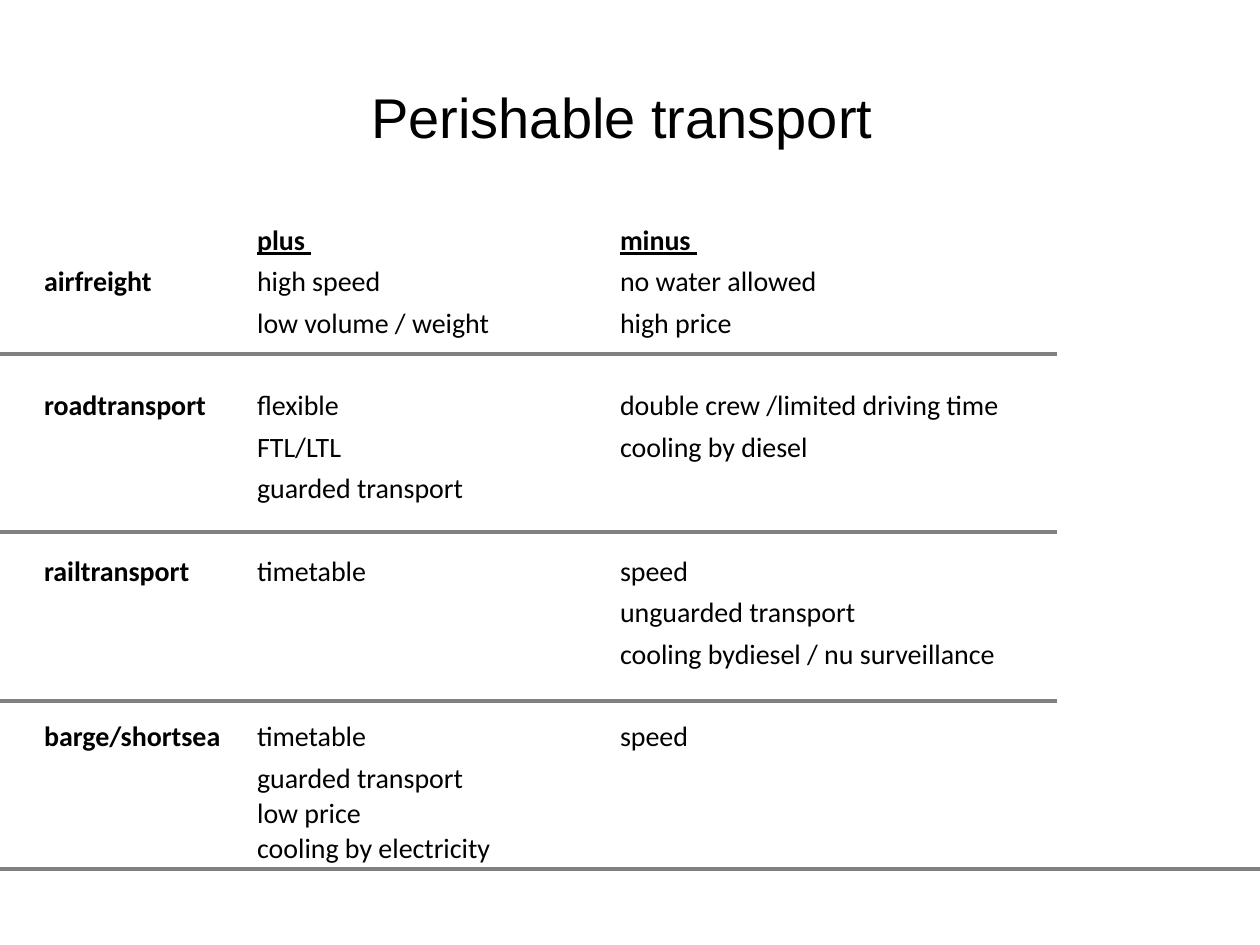
from lxml import etree
from pptx import Presentation
from pptx.dml.color import RGBColor
from pptx.enum import shapes, text
from pptx.oxml.ns import qn
from pptx.util import Pt

BLACK = RGBColor(0x00, 0x00, 0x00)
GRAY = RGBColor(0x80, 0x80, 0x80)

SLIDE_W, SLIDE_H = 720, 540
COLUMN_WIDTHS = (121.7, 207.4, 272.9)
ROW_H, LAST_ROW_H = 23.65, 39
TEXT_SIZE = 16

ROWS = [
    ("", "plus ", "minus "),
    ("airfreight", "high speed", "no water allowed"),
    ("", "low volume / weight", "high price"),
    ("", "", ""),
    ("roadtransport", "flexible", "double crew /limited driving time"),
    ("", "FTL/LTL", "cooling by diesel"),
    ("", "guarded transport", ""),
    ("", "", ""),
    ("railtransport", "timetable", "speed"),
    ("", "", "unguarded transport"),
    ("", "", "cooling bydiesel / nu surveillance"),
    ("", "", ""),
    ("barge/shortsea", "timetable", "speed"),
    ("", "guarded transport", ""),
    ("", "low price\ncooling by electricity", ""),
]

# (right end, height on the slide) of each rule
RULES = [(604, 202.1), (604, 304), (604, 400.5), (SLIDE_W, 496.6)]


def add_title(slide, left, top, width, height):
    title = slide.shapes.title
    title.left, title.top = Pt(left), Pt(top)
    title.width, title.height = Pt(width), Pt(height)
    tf = title.text_frame
    tf.text = "Perishable transport "
    tf.vertical_anchor = text.MSO_ANCHOR.MIDDLE
    p = tf.paragraphs[0]
    p.alignment = text.PP_ALIGN.CENTER
    font = p.runs[0].font
    font.name, font.size = "Arial", Pt(32)
    font.color.rgb = BLACK


def fill_cell(cell, words, bold, underline):
    cell.fill.background()
    cell.vertical_anchor = text.MSO_ANCHOR.BOTTOM
    cell.margin_left = cell.margin_right = cell.margin_top = Pt(0.75)
    cell.margin_bottom = Pt(0)
    cell.text_frame.text = words
    for p in cell.text_frame.paragraphs:
        for r in p.runs:
            font = r.font
            font.name, font.size = "Calibri", Pt(TEXT_SIZE)
            font.bold, font.underline = bold, underline
            font.color.rgb = BLACK
        if not p.runs:  # an empty cell must not stretch its row
            end = etree.SubElement(p._p, qn("a:endParaRPr"))
            end.set("sz", str(TEXT_SIZE * 100))


def add_comparison(slide, left, top):
    heights = [ROW_H] * (len(ROWS) - 1) + [LAST_ROW_H]
    table = slide.shapes.add_table(
        len(ROWS), len(COLUMN_WIDTHS), Pt(left), Pt(top),
        Pt(sum(COLUMN_WIDTHS)), Pt(sum(heights))).table
    table.first_row = table.horz_banding = False
    for column, width in zip(table.columns, COLUMN_WIDTHS):
        column.width = Pt(width)
    for i, (words, height) in enumerate(zip(ROWS, heights)):
        table.rows[i].height = Pt(height)
        for j, entry in enumerate(words):
            fill_cell(table.cell(i, j), entry,
                      bold=i == 0 or j == 0, underline=i == 0)


def add_rules(slide, left):
    for right, y in RULES:
        rule = slide.shapes.add_connector(
            shapes.MSO_CONNECTOR.STRAIGHT, Pt(left), Pt(y), Pt(right), Pt(y))
        rule.line.color.rgb = GRAY
        rule.line.width = Pt(2.25)
        etree.SubElement(rule._element.spPr, qn("a:effectLst"))


def main():
    prs = Presentation()
    prs.slide_width, prs.slide_height = Pt(SLIDE_W), Pt(SLIDE_H)
    slide = prs.slides.add_slide(prs.slide_layouts[5])
    add_comparison(slide, 24.5, 123.8)
    add_title(slide, 36, 21.6, 648, 90)
    add_rules(slide, 0)
    prs.save("out.pptx")


if __name__ == "__main__":
    main()
